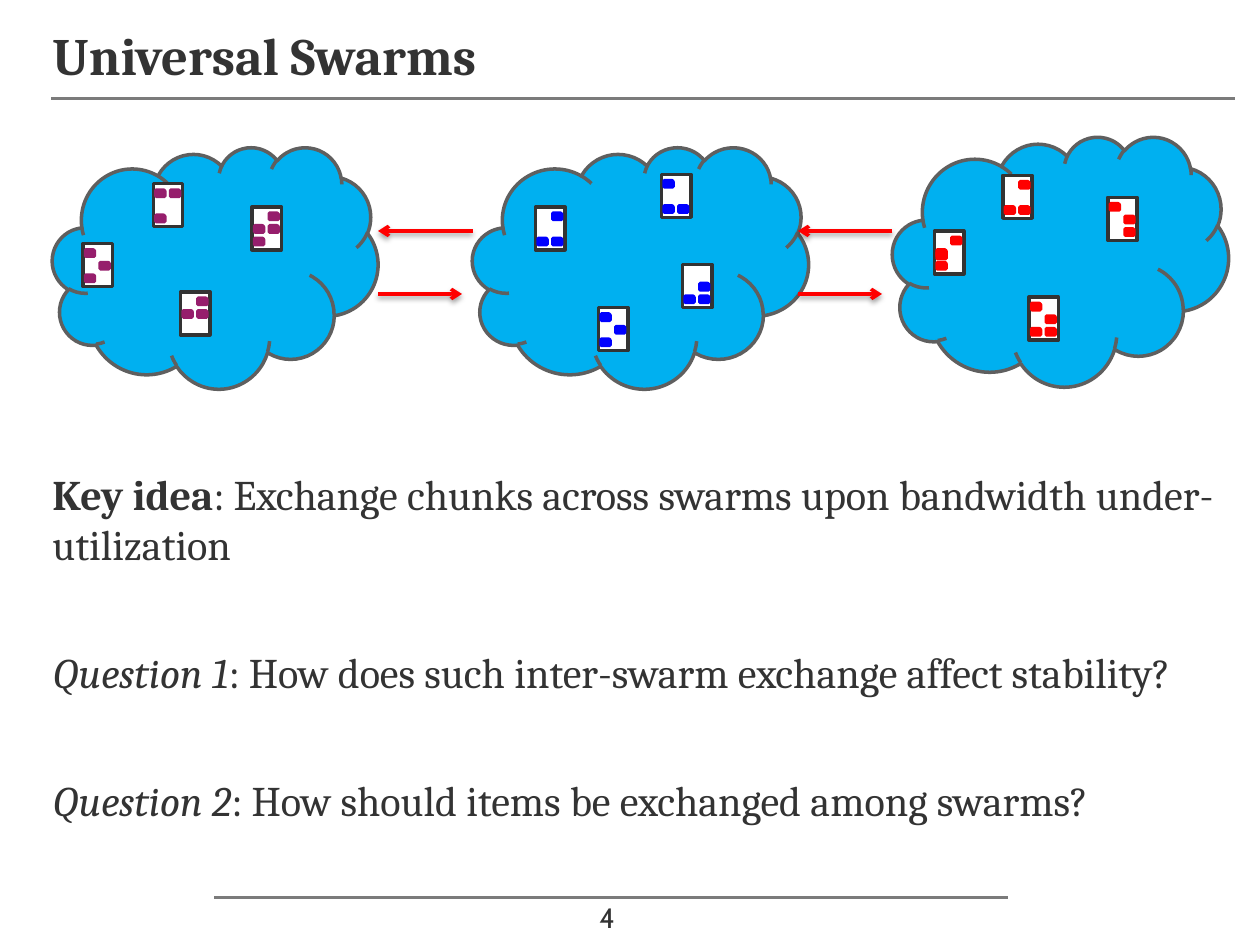
"""Build the Universal Swarms slide on a grid of 120 columns by 90 rows."""
from lxml import etree
from pptx import Presentation
from pptx import util as u
from pptx.dml.color import RGBColor
from pptx.enum import shapes, text
from pptx.oxml.ns import qn

COLORS = {
    "ink": "333333", "rule": "7B7B7B", "cloud": "00B0F0", "outline": "5F5F5F",
    "peer": "FFFFFF", "purple": "961E6C", "blue": "0000FF", "red": "FF0000",
}
presentation = Presentation()
presentation.slide_width, presentation.slide_height = u.Inches(10), u.Inches(7.5)
CELL = presentation.slide_width / 120
slide = presentation.slides.add_slide(presentation.slide_layouts[5])


def add_box(kind, left, top, width, height, fill, line):
    shape = slide.shapes.add_shape(kind, *(round(n * CELL) for n in (left, top, width, height)))
    shape.shadow.inherit = False
    shape.fill.solid()
    shape.fill.fore_color.rgb = RGBColor.from_string(COLORS[fill])
    shape.line.color.rgb = RGBColor.from_string(COLORS[line])
    shape.line.width = u.Pt(2)


def add_line(start, end, row, color, width):
    ends = (round(n * CELL) for n in (start, row, end, row))
    line = slide.shapes.add_connector(shapes.MSO_CONNECTOR.STRAIGHT, *ends)
    line.line.color.rgb = RGBColor.from_string(COLORS[color])
    line.line.width = u.Pt(width)
    return line, etree.SubElement(line._element.spPr, qn("a:effectLst"))


add_line(4.9, 117.6, 9.4, "rule", 1.5)
add_line(20.4, 96, 85.5, "rule", 1.5)

PEER_WIDTH, PEER_HEIGHT = 2.8, 4.1
swarms = [
    ("purple", (5, 14, 31, 23), [
        (7.9, 23.2, [(0, 0), (1, 1), (0, 2)]),
        (14.6, 17.5, [(0, 0), (1, 0), (0, 2)]),
        (17.2, 27.8, [(1, 0), (0, 1), (1, 1)]),
        (24, 19.7, [(1, 0), (0, 1), (1, 1), (0, 2)]),
    ]),
    ("blue", (45, 14, 32, 23), [
        (51, 19.7, [(1, 0), (0, 2), (1, 2)]),
        (63, 16.6, [(0, 0), (0, 2), (1, 2)]),
        (57, 29.3, [(0, 0), (1, 1), (0, 2)]),
        (65, 25.2, [(1, 1), (0, 2), (1, 2)]),
    ]),
    ("red", (85, 13, 32, 23.8), [
        (105.5, 18.8, [(0, 0), (1, 1), (1, 2)]),
        (95.5, 16.7, [(1, 0), (0, 2), (1, 2)]),
        (98, 28.3, [(0, 0), (1, 1), (0, 2), (1, 2)]),
        (89, 22, [(1, 0), (0, 1), (0, 1.2), (0, 2)]),
    ]),
]
for color, cloud, peers in swarms:
    add_box(shapes.MSO_SHAPE.CLOUD, *cloud, "cloud", "outline")
    for left, top, chunks in peers:
        add_box(shapes.MSO_SHAPE.RECTANGLE, left, top, PEER_WIDTH, PEER_HEIGHT, "peer", "ink")
        for column, row in chunks:
            add_box(shapes.MSO_SHAPE.SNIP_1_RECTANGLE, left + 0.25 + 1.4 * column,
                    top + 0.6 + 1.2 * row, 0.85, 0.6, color, color)

for gap in (36, 76):
    for start, end, row in ((gap + 9, gap, 22), (gap, gap + 8, 28)):
        arrow, effects = add_line(start, end, row, "red", 2)
        etree.SubElement(arrow.line._get_or_add_ln(), qn("a:tailEnd"), type="arrow")
        shadow = etree.SubElement(effects, qn("a:outerShdw"), blurRad=str(u.Pt(3.1)),
                                  dist=str(u.Pt(1.6)), dir="5400000", rotWithShape="0")
        black = etree.SubElement(shadow, qn("a:srgbClr"), val="000000")
        etree.SubElement(black, qn("a:alpha"), val="38000")

title = slide.shapes.title
body = slide.shapes.add_textbox(0, 0, 0, 0)
number = slide.shapes.add_textbox(0, 0, 0, 0)
key_idea = ("Key idea", ": Exchange chunks across swarms upon bandwidth under-utilization")
question_1 = ("Question 1", ": How does such inter-swarm exchange affect stability?")
question_2 = ("Question 2", ": How should items be exchanged among swarms?")
blocks = [
    (title, (5, 1, 112.8, 8.4), 0.05, "MIDDLE", "Cambria", 30, [("Universal Swarms",)]),
    (body, (5, 44, 112.7, 37), 0.05, "TOP", "Cambria", 24.1, [key_idea, question_1, question_2]),
    (number, (57.1, 87, 3.8, 2), 0, "BOTTOM", "Cabin", 16, [("4",)]),
]
for shape, place, inset, anchor, font, size, lines in blocks:
    shape.left, shape.top, shape.width, shape.height = (round(n * CELL) for n in place)
    frame = shape.text_frame
    frame.word_wrap = True
    frame.auto_size = text.MSO_AUTO_SIZE.NONE
    frame.vertical_anchor = text.MSO_ANCHOR[anchor]
    frame.margin_left = frame.margin_right = 0
    frame.margin_top = frame.margin_bottom = u.Inches(inset)
    for index, pieces in enumerate(lines):
        paragraph = frame.add_paragraph() if index else frame.paragraphs[0]
        paragraph.alignment = text.PP_ALIGN.LEFT
        paragraph.space_before = u.Pt(44 if index else 0)
        paragraph.font.name, paragraph.font.size = font, u.Pt(size)
        paragraph.font.color.rgb = RGBColor.from_string(COLORS["ink"])
        for piece in pieces:
            paragraph.add_run().text = piece

title.text_frame.paragraphs[0].font.bold = True
key_paragraph, *questions = body.text_frame.paragraphs
key_paragraph.runs[0].font.bold = True
for paragraph in questions:
    paragraph.runs[0].font.italic = True

presentation.save("out.pptx")
